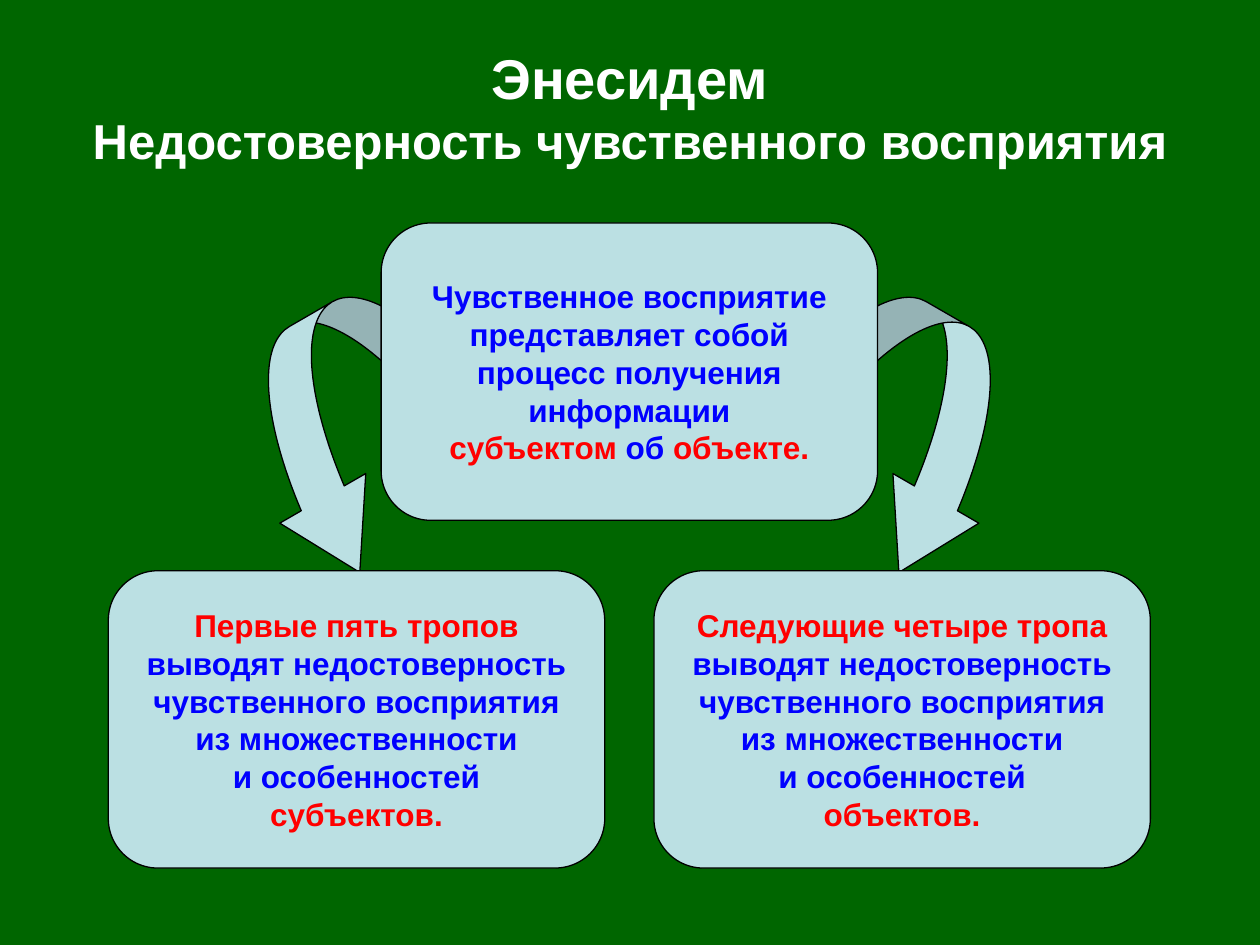
from dataclasses import dataclass

from pptx import Presentation
from pptx import util as u
from pptx.dml.color import RGBColor
from pptx.enum import shapes, text


@dataclass(frozen=True)
class Theme:
    """Colours, font and type sizes of the slide."""
    back: RGBColor = RGBColor(0x00, 0x66, 0x00)
    fill: RGBColor = RGBColor(0xBB, 0xE0, 0xE3)
    line: RGBColor = RGBColor(0x00, 0x00, 0x00)
    title: RGBColor = RGBColor(0xFF, 0xFF, 0xFF)
    body: RGBColor = RGBColor(0x00, 0x00, 0xFF)
    accent: RGBColor = RGBColor(0xFF, 0x00, 0x00)
    font: str = "Arial"
    title_size: int = 32
    subtitle_size: int = 28
    body_size: int = 18


THEME = Theme()
BOX_W, BOX_H = 3.94, 2.36
ARROW_SIZE = 1.97
ARROW_ADJUSTMENTS = (0.2, 0.4, 0.33333)


def style_paragraph(p, size):
    """Centre a paragraph and set its bold font."""
    p.alignment = text.PP_ALIGN.CENTER
    p.font.name = THEME.font
    p.font.size = u.Pt(size)
    p.font.bold = True


def add_lines(p, lines, color):
    """Add lines of one colour, parted by line breaks."""
    for i, line in enumerate(lines.split("\n")):
        if i:
            p.add_line_break()
        if line:
            r = p.add_run()
            r.text = line
            r.font.color.rgb = color


def add_shape(s, kind, x, y, w, h):
    """Add a filled, thinly outlined shape without shadow."""
    sp = s.shapes.add_shape(kind, *map(u.Inches, (x, y, w, h)))
    sp.shadow.inherit = False
    sp.fill.solid()
    sp.fill.fore_color.rgb = THEME.fill
    sp.line.color.rgb = THEME.line
    sp.line.width = u.Pt(0.75)
    return sp


def add_title(s, x, y, w, h):
    """Place the two-line title in its placeholder."""
    sp = s.shapes.title
    sp.left, sp.top, sp.width, sp.height = map(u.Inches, (x, y, w, h))
    tf = sp.text_frame
    tf.auto_size = text.MSO_AUTO_SIZE.NONE
    tf.vertical_anchor = text.MSO_ANCHOR.MIDDLE
    p = tf.paragraphs[0]
    style_paragraph(p, THEME.title_size)
    add_lines(p, "Энесидем\nНедостоверность чувственного восприятия", THEME.title)
    p.runs[1].font.size = u.Pt(THEME.subtitle_size)


def add_box(s, x, y, parts):
    """Add a rounded box with coloured pieces of text."""
    sp = add_shape(s, shapes.MSO_SHAPE.ROUNDED_RECTANGLE, x, y, BOX_W, BOX_H)
    tf = sp.text_frame
    tf.word_wrap = False
    tf.vertical_anchor = text.MSO_ANCHOR.MIDDLE
    p = tf.paragraphs[0]
    style_paragraph(p, THEME.body_size)
    for words, color in parts:
        add_lines(p, words, color)


def add_arrow(s, kind, x, y, rotation):
    """Add a turned curved arrow."""
    sp = add_shape(s, kind, x, y, ARROW_SIZE, ARROW_SIZE)
    sp.rotation = rotation
    for i, value in enumerate(ARROW_ADJUSTMENTS):
        sp.adjustments[i] = value


def tropes(heading, target):
    """Return the coloured text of a lower box."""
    reason = ("\nвыводят недостоверность\nчувственного восприятия\n"
              "из множественности\nи особенностей\n")
    return [(heading, THEME.accent), (reason, THEME.body), (target, THEME.accent)]


def add_diagram(s, x, y, w):
    """Place the upper box, both arrows and the two lower boxes."""
    kinds = shapes.MSO_SHAPE
    arrow_x, arrow_y = x + 1.03, y + 0.64
    low_y = y + 2.76
    add_arrow(s, kinds.CURVED_RIGHT_ARROW, arrow_x, arrow_y, 60)
    add_arrow(s, kinds.CURVED_LEFT_ARROW, 2 * x + w - arrow_x - ARROW_SIZE, arrow_y, 300)
    add_box(s, x + (w - BOX_W) / 2, y, [
        ("Чувственное восприятие\nпредставляет собой\nпроцесс получения\nинформации\n",
         THEME.body),
        ("субъектом", THEME.accent),
        (" об ", THEME.body),
        ("объекте.", THEME.accent),
    ])
    add_box(s, x, low_y, tropes("Первые пять тропов", "субъектов."))
    add_box(s, x + w - BOX_W, low_y, tropes("Следующие четыре тропа", "объектов."))


def main():
    """Build and save the slide."""
    prs = Presentation()
    prs.slide_width, prs.slide_height = u.Inches(10), u.Inches(7.5)
    s = prs.slides.add_slide(prs.slide_layouts[5])
    s.background.fill.solid()
    s.background.fill.fore_color.rgb = THEME.back
    add_title(s, 0.5, 0.3, 9, 1.09)
    add_diagram(s, 0.86, 1.77, 8.27)
    prs.save("out.pptx")


if __name__ == "__main__":
    main()
